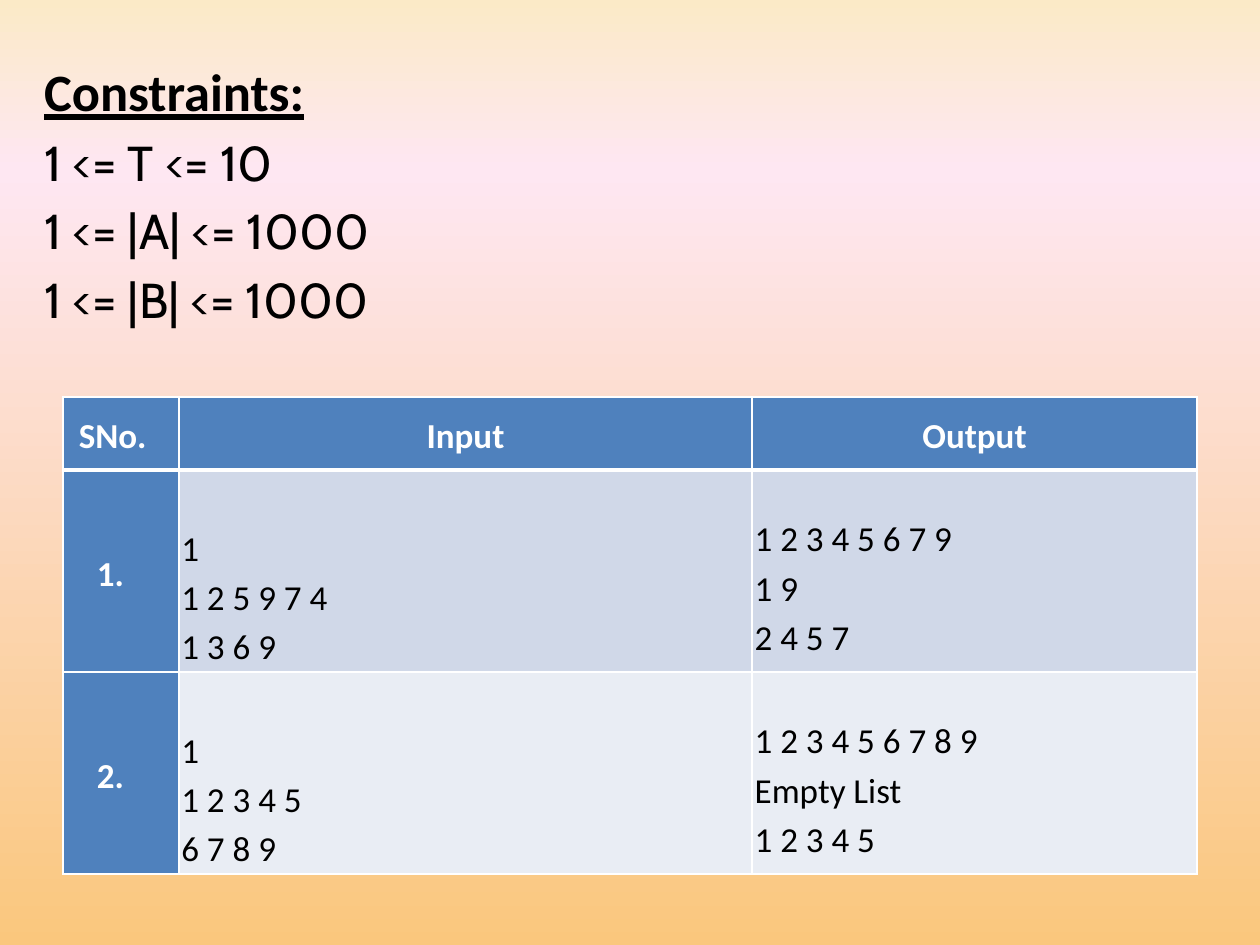
from copy import deepcopy
from dataclasses import dataclass

from lxml.etree import SubElement
from pptx import Presentation
from pptx.dml.color import RGBColor
from pptx.enum.text import MSO_ANCHOR, MSO_AUTO_SIZE, PP_ALIGN
from pptx.oxml import parse_xml
from pptx.oxml.ns import nsdecls, qn
from pptx.util import Inches, Pt

BLACK = RGBColor(0x00, 0x00, 0x00)
WHITE = RGBColor(0xFF, 0xFF, 0xFF)
BLUE = RGBColor(0x4F, 0x81, 0xBD)
BAND_DARK = RGBColor(0xD0, 0xD8, 0xE8)
BAND_LIGHT = RGBColor(0xE9, 0xED, 0xF4)
BACKGROUND_STOPS = (
    (0, RGBColor(0xFB, 0xEA, 0xC7)),
    (0.18, RGBColor(0xFE, 0xE7, 0xF2)),
    (1, RGBColor(0xFA, 0xC7, 0x7D)),
)

COLUMN_WIDTHS = (0.92, 4.55, 3.53)
HEADER_HEIGHT, EXAMPLE_HEIGHT = 0.58, 1.6
INSET = 0.02
INPUT_GAP, OUTPUT_GAP = 0.39, 0.24
CONSTRAINTS = ("1 <= T <= 10", "1 <= |A| <= 1000", "1 <= |B| <= 1000")


@dataclass(frozen=True)
class CellStyle:
    """Look of a cell; the gaps are added to the normal inset, in inches."""
    fill: RGBColor
    color: RGBColor = WHITE
    bold: bool = True
    align: PP_ALIGN = PP_ALIGN.LEFT
    left_gap: float = 0
    top_gap: float = 0
    right_gap: float = 0
    bottom_border: float = 1


@dataclass(frozen=True)
class Example:
    number: str
    input_lines: tuple[str, ...]
    output_lines: tuple[str, ...]
    band: RGBColor


EXAMPLES = (
    Example("1.", ("1", "1 2 5 9 7 4", "1 3 6 9"),
            ("1 2 3 4 5 6 7 9", "1 9", "2 4 5 7"), BAND_DARK),
    Example("2.", ("1", "1 2 3 4 5", "6 7 8 9"),
            ("1 2 3 4 5 6 7 8 9", "Empty List", "1 2 3 4 5"), BAND_LIGHT),
)


def paint_background(page) -> None:
    fill = page.background.fill
    fill.gradient()
    fill.gradient_angle = 270
    stop_list = page.element.find(".//" + qn("a:gsLst"))
    stop_list.append(deepcopy(stop_list[0]))
    for stop, (position, color) in zip(fill.gradient_stops, BACKGROUND_STOPS):
        stop.position = position
        stop.color.rgb = color


def format_span(span, font: str, size: float, color: RGBColor, bold: bool) -> None:
    span.font.name = font
    span.font.size = Pt(size)
    span.font.color.rgb = color
    span.font.bold = bold


def write_constraints(box) -> None:
    box.left, box.top = Inches(0.25), Inches(0.42)
    box.width, box.height = Inches(9.33), Inches(6.83)
    frame = box.text_frame
    frame.text = "\n".join(("Constraints:", *CONSTRAINTS))
    frame.auto_size = MSO_AUTO_SIZE.NONE
    for index, para in enumerate(frame.paragraphs):
        properties = para._p.get_or_add_pPr()
        properties.set("marL", "0")
        properties.set("indent", "0")
        SubElement(properties, qn("a:buNone"))
        span = para.runs[0]
        if index == 0:
            format_span(span, "Calibri", 30, BLACK, True)
            span.font.underline = True
        else:
            format_span(span, "Cabin", 28, BLACK, False)


def set_borders(cell, bottom: float) -> None:
    properties = cell._tc.get_or_add_tcPr()
    for index, (side, width) in enumerate(
            (("L", 1), ("R", 1), ("T", 1), ("B", bottom))):
        properties.insert(index, parse_xml(
            f'<a:ln{side} {nsdecls("a")} w="{Pt(width)}"><a:solidFill>'
            f'<a:srgbClr val="{WHITE}"/></a:solidFill></a:ln{side}>'))


def write_cell(cell, lines: tuple[str, ...], style: CellStyle) -> None:
    cell.fill.solid()
    cell.fill.fore_color.rgb = style.fill
    set_borders(cell, style.bottom_border)
    cell.vertical_anchor = MSO_ANCHOR.MIDDLE
    cell.margin_left = Inches(INSET + style.left_gap)
    cell.margin_top = Inches(INSET + style.top_gap)
    cell.margin_right = Inches(INSET + style.right_gap)
    cell.margin_bottom = Inches(INSET)
    cell.text_frame.text = "\v".join(lines)
    para = cell.text_frame.paragraphs[0]
    para.alignment = style.align
    para.line_spacing = 1.15
    for span in para.runs:
        format_span(span, "Calibri", 20, style.color, style.bold)


def add_examples(page) -> None:
    heights = (HEADER_HEIGHT,) + (EXAMPLE_HEIGHT,) * len(EXAMPLES)
    table = page.shapes.add_table(
        len(heights), len(COLUMN_WIDTHS), Inches(0.5), Inches(3.15),
        Inches(sum(COLUMN_WIDTHS)), Inches(sum(heights))).table
    for column, width in zip(table.columns, COLUMN_WIDTHS):
        column.width = Inches(width)
    for row, height in zip(table.rows, heights):
        row.height = Inches(height)

    for column, (label, gap) in enumerate(
            (("SNo.", 0.13), ("Input", 0), ("Output", 0))):
        write_cell(table.cell(0, column), (label,), CellStyle(
            BLUE, align=PP_ALIGN.CENTER, right_gap=gap, bottom_border=3))
    for row, example in enumerate(EXAMPLES, start=1):
        write_cell(table.cell(row, 0), (example.number,),
                   CellStyle(BLUE, left_gap=0.25))
        write_cell(table.cell(row, 1), example.input_lines,
                   CellStyle(example.band, BLACK, False, top_gap=INPUT_GAP))
        write_cell(table.cell(row, 2), example.output_lines,
                   CellStyle(example.band, BLACK, False, top_gap=OUTPUT_GAP))


def main() -> None:
    deck = Presentation()
    deck.slide_width, deck.slide_height = Inches(10), Inches(7.5)
    page = deck.slides.add_slide(deck.slide_layouts[1])
    title = page.shapes.title.element
    title.getparent().remove(title)
    paint_background(page)
    write_constraints(page.placeholders[1])
    add_examples(page)
    deck.save("out.pptx")


if __name__ == "__main__":
    main()
